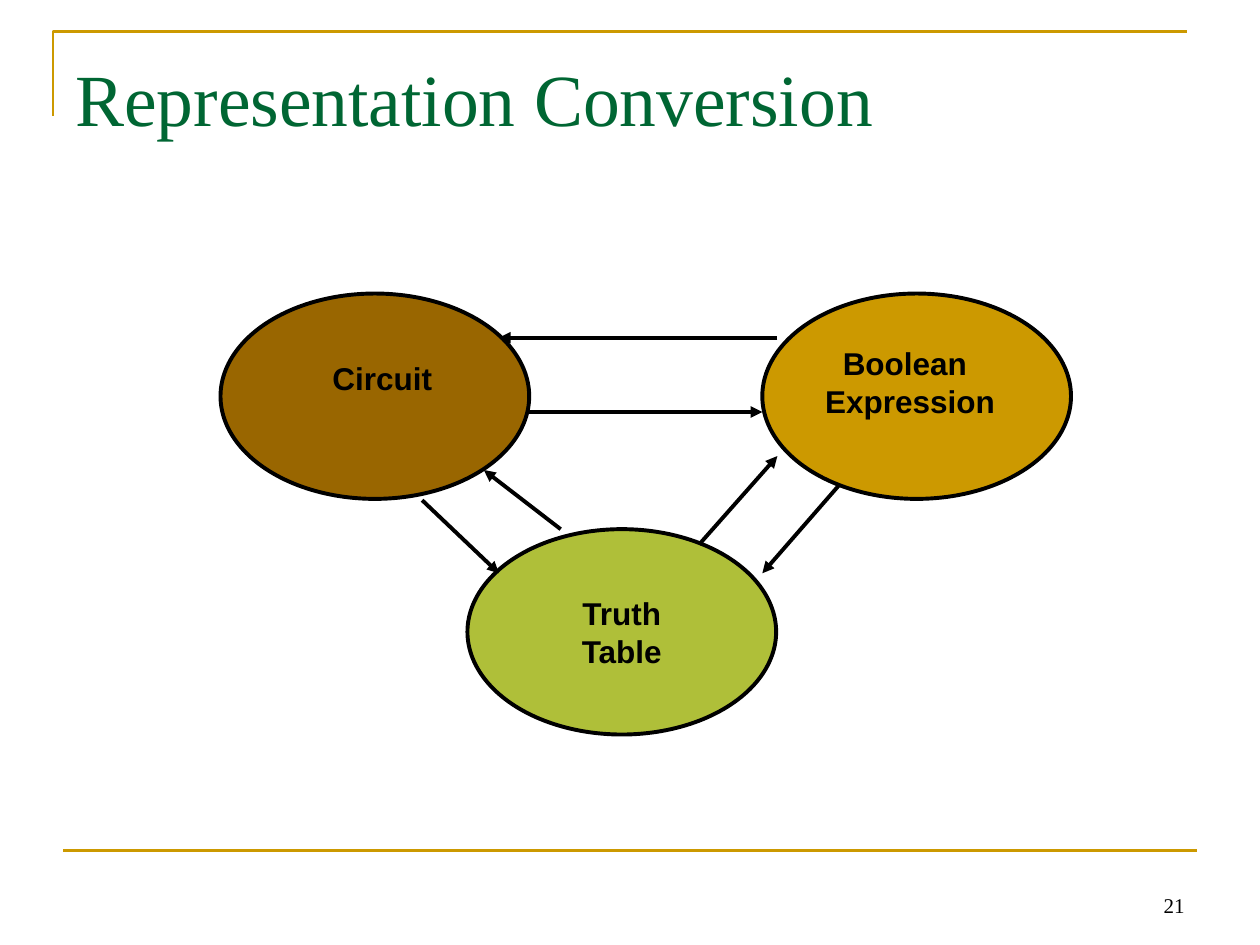
from dataclasses import dataclass

import lxml.etree
import pptx
import pptx.dml.color
import pptx.enum.shapes
import pptx.enum.text
import pptx.oxml.ns
import pptx.util

Inches = pptx.util.Inches
Pt = pptx.util.Pt
RGB = pptx.dml.color.RGBColor.from_string
qn = pptx.oxml.ns.qn
PP_ALIGN = pptx.enum.text.PP_ALIGN
ANCHOR = pptx.enum.text.MSO_ANCHOR


@dataclass(frozen=True)
class Theme:
    """Colours, fonts and sizes of the slide."""
    gold: str = "CC9900"
    brown: str = "996600"
    olive: str = "AFBF39"
    green: str = "006633"
    ink: str = "000000"
    serif: str = "Times New Roman"
    sans: str = "Arial"
    title: int = 42
    label: int = 18
    number: int = 12
    rule: float = 1.5
    stroke: float = 2.25


THEME = Theme()


def style_line(line, color, width):
    """Give a line its colour and width."""
    line.color.rgb = RGB(color)
    line.width = Pt(width)


def write(tf, lines, size, font, color, bold=False, align=PP_ALIGN.LEFT):
    """Fill a text frame with one paragraph per line."""
    for i, text in enumerate(lines):
        p = tf.paragraphs[0] if i == 0 else tf.add_paragraph()
        p.text = text
        p.alignment = align
        p.font.size = Pt(size)
        p.font.name = font
        p.font.bold = bold
        p.font.color.rgb = RGB(color)


def add_line(slide, start, end, color, width, arrow=False):
    """Draw a straight line, with an arrowhead at its end if asked."""
    cxn = slide.shapes.add_connector(
        pptx.enum.shapes.MSO_CONNECTOR.STRAIGHT,
        *(Inches(v) for v in (*start, *end)))
    style_line(cxn.line, color, width)
    if arrow:
        lxml.etree.SubElement(cxn.line._get_or_add_ln(), qn("a:tailEnd"), type="triangle")
    lxml.etree.SubElement(cxn._element.spPr, qn("a:effectLst"))


def add_frame(slide, left, top, width, height):
    """Draw the corner rule at the top and the rule above the footer."""
    corner = 0.67
    builder = slide.shapes.build_freeform(Inches(left), Inches(top + corner))
    builder.add_line_segments(
        [(Inches(left), Inches(top)), (Inches(left + width), Inches(top))], close=False)
    sp = builder.convert_to_shape()
    sp.fill.background()
    sp.shadow.inherit = False
    style_line(sp.line, THEME.gold, THEME.rule)
    x, y = left + 0.08, top + height
    add_line(slide, (x, y), (x + width, y), THEME.gold, THEME.rule)


def add_title(slide, left, top, width, height):
    """Place the slide title."""
    tf = slide.shapes.add_textbox(*map(Inches, (left, top, width, height))).text_frame
    tf.word_wrap = True
    tf.margin_top = Inches(0.12)
    write(tf, ["Representation Conversion"], THEME.title, THEME.serif, THEME.green)


def add_number(slide, left, top, width, height):
    """Place the slide number at the bottom right of its box."""
    tf = slide.shapes.add_textbox(*map(Inches, (left, top, width, height))).text_frame
    tf.word_wrap = True
    tf.vertical_anchor = ANCHOR.BOTTOM
    write(tf, ["21"], THEME.number, THEME.serif, THEME.ink, align=PP_ALIGN.RIGHT)


def add_node(slide, left, top, width, height, color):
    """Draw one ellipse and return it."""
    sp = slide.shapes.add_shape(
        pptx.enum.shapes.MSO_SHAPE.OVAL, *map(Inches, (left, top, width, height)))
    sp.shadow.inherit = False
    sp.fill.solid()
    sp.fill.fore_color.rgb = RGB(color)
    style_line(sp.line, THEME.ink, THEME.stroke)
    return sp


def add_label(slide, left, top, width, height, lines):
    """Place a bold label and return its text frame."""
    tf = slide.shapes.add_textbox(*map(Inches, (left, top, width, height))).text_frame
    tf.word_wrap = False
    write(tf, lines, THEME.label, THEME.sans, THEME.ink, bold=True)
    return tf


def add_diagram(slide, left, top, width, height):
    """Draw the three representations and the conversions between them."""
    node_w, node_h = 2.45, 1.63
    right, bottom = left + width - node_w, top + height - node_h
    add_node(slide, left, top, node_w, node_h, THEME.brown)
    add_node(slide, right, top, node_w, node_h, THEME.gold)
    truth = add_node(slide, left + 1.96, bottom, node_w, node_h, THEME.olive)
    tf = truth.text_frame
    tf.word_wrap = False
    tf.vertical_anchor = ANCHOR.MIDDLE
    write(tf, ["Truth", "Table"], THEME.label, THEME.sans, THEME.ink,
          bold=True, align=PP_ALIGN.CENTER)

    add_label(slide, left + 0.79, top + 0.47, 0.99, 0.4, ["Circuit"])
    tf = add_label(slide, right + 0.4, top + 0.35, 1.55, 0.7, ["Boolean", "Expression"])
    tf.paragraphs[0]._p.get_or_add_pPr().set("marL", str(Inches(0.14)))

    arrows = [
        ((3.8, 1.99), (4.42, 1.29)),
        ((4.91, 1.52), (4.3, 2.22)),
        ((4.42, 0.35), (2.21, 0.35)),
        ((2.45, 0.94), (4.3, 0.94)),
        ((2.7, 1.87), (2.09, 1.4)),
        ((1.6, 1.64), (2.21, 2.22)),
    ]
    for (x1, y1), (x2, y2) in arrows:
        add_line(slide, (left + x1, top + y1), (left + x2, top + y2),
                 THEME.ink, THEME.stroke, arrow=True)


def main():
    """Build the slide and save it."""
    prs = pptx.Presentation()
    prs.slide_width, prs.slide_height = Inches(10), Inches(7.5)
    slide = prs.slides.add_slide(prs.slide_layouts[6])
    add_frame(slide, 0.42, 0.25, 9, 6.5)
    add_title(slide, 0.5, 0.3, 9, 1.25)
    add_number(slide, 7.17, 6.83, 2.33, 0.5)
    add_diagram(slide, 1.75, 2.33, 6.75, 3.5)
    prs.save("out.pptx")


if __name__ == "__main__":
    main()
